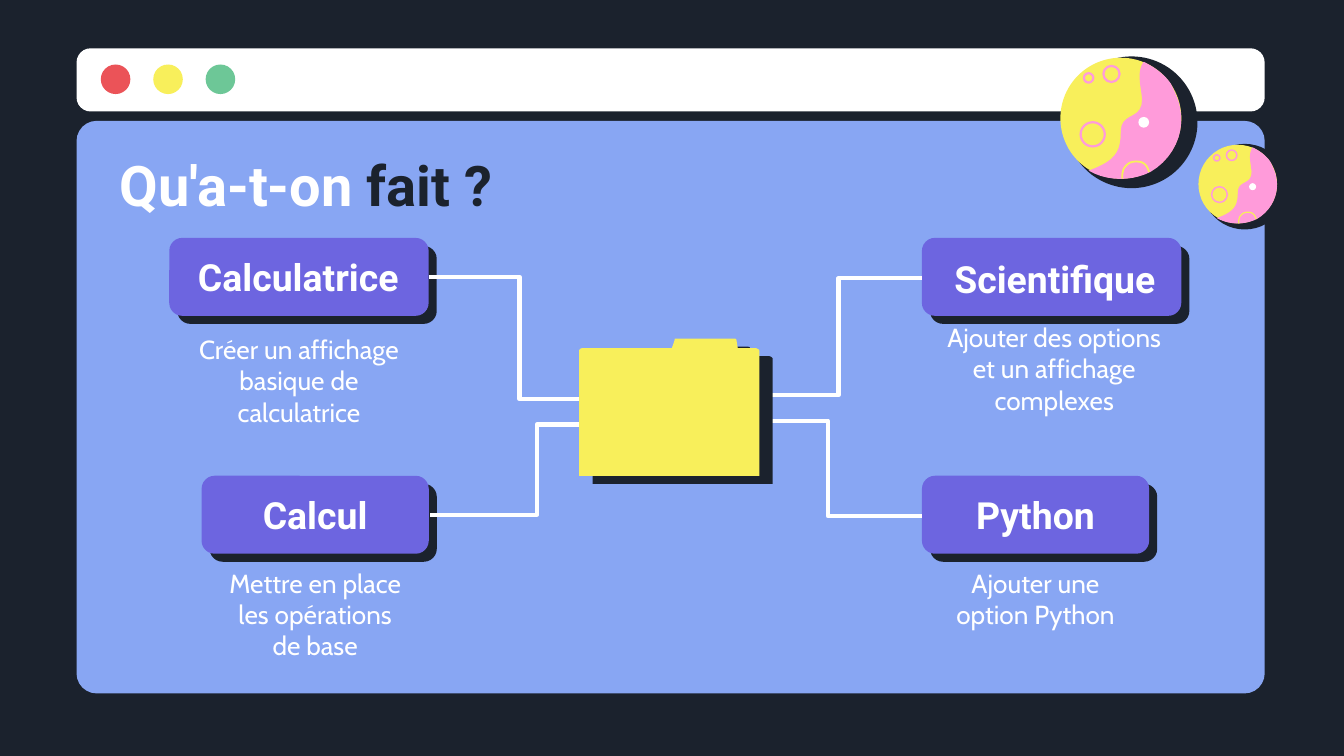
from pptx import Presentation
from pptx.dml.color import RGBColor
from pptx.enum.shapes import MSO_CONNECTOR, MSO_SHAPE
from pptx.enum.text import MSO_ANCHOR, MSO_AUTO_SIZE, PP_ALIGN
from pptx.oxml.ns import qn
from pptx.util import Inches, Pt
from lxml.etree import SubElement

DARK = RGBColor(0x1B, 0x22, 0x2D)
BLUE = RGBColor(0x88, 0xA6, 0xF3)
WHITE = RGBColor(0xFF, 0xFF, 0xFF)
RED = RGBColor(0xEB, 0x53, 0x58)
YELLOW = RGBColor(0xF8, 0xEF, 0x5B)
GREEN = RGBColor(0x6D, 0xC7, 0x97)
PINK = RGBColor(0xFF, 0x9B, 0xDA)
PURPLE = RGBColor(0x6D, 0x65, 0xE0)

CARDS = [
    ("Python", (6.86, 3.54, 1.69), (6.96, 3.54, 1.49),
     "Ajouter une option Python", (6.88, 4.12, 1.65)),
    ("Calcul", (1.5, 3.54, 1.69), (1.6, 3.54, 1.49),
     "Mettre en place les opérations de base", (1.6, 4.12, 1.49)),
    ("Calculatrice", (1.26, 1.77, 1.93), (1.23, 1.77, 1.98),
     "Créer un affichage basique de calculatrice", (1.27, 2.38, 1.91)),
    ("Scientifique", (6.86, 1.77, 1.93), (6.87, 1.78, 1.96),
     "Ajouter des options et un affichage complexes", (6.93, 2.29, 1.83)),
]
LINKS = [
    (3.19, 2.06, 4.54, 2.97),
    (3.2, 3.83, 4.79, 3.16),
    (6.86, 2.07, 5.62, 2.94),
    (6.86, 3.84, 5.46, 3.13),
]
FOLDER = [
    (5.65, 2.61), (5.65, 3.54), (4.31, 3.54), (4.31, 2.61),
    (4.31, 2.6, 4.32, 2.59, 4.34, 2.59), (5, 2.59), (5.02, 2.53),
    (5.02, 2.52, 5.02, 2.52, 5.03, 2.52), (5.46, 2.52),
    (5.47, 2.52, 5.48, 2.52, 5.48, 2.53), (5.49, 2.59), (5.62, 2.59),
    (5.63, 2.59, 5.65, 2.6, 5.65, 2.61),
]
HUB = (8.34, 0.88)
LAND = [
    (8.51, 0.46), (8.59, 0.5, 8.66, 0.55, 8.71, 0.62),
    (8.73, 0.66, 8.77, 0.74, 8.78, 0.8), (8.82, 0.99, 8.73, 1.18, 8.56, 1.28),
    (8.42, 1.35, 8.24, 1.35, 8.1, 1.27), (8.29, 1.2, 8.34, 1.14, 8.34, 0.98),
    (8.34, 0.81, 8.54, 0.92, 8.49, 0.67), (8.47, 0.56, 8.48, 0.5, 8.51, 0.46),
]
RIM = [
    (8.55, 1.28), (8.54, 1.24, 8.52, 1.22, 8.5, 1.21),
    (8.47, 1.2, 8.44, 1.2, 8.41, 1.21), (8.39, 1.22, 8.37, 1.24, 8.36, 1.26),
    (8.35, 1.29, 8.35, 1.31, 8.35, 1.33),
]
RINGS = [(8.27, 0.55, 0.07), (8.13, 1, 0.1), (8.1, 0.58, 0.045)]


def paint(shape, fill, line=None, width=1):
    shape.shadow.inherit = False
    if fill is None:
        shape.fill.background()
    else:
        shape.fill.solid()
        shape.fill.fore_color.rgb = fill
    if line is None:
        shape.line.fill.background()
    else:
        shape.line.color.rgb = line
        shape.line.width = Pt(width)


def add_box(slide, box, bend, fill):
    shape = slide.shapes.add_shape(MSO_SHAPE.ROUNDED_RECTANGLE, *map(Inches, box))
    shape.adjustments[0] = bend
    paint(shape, fill)


def add_disc(slide, x, y, r, fill, line=None, width=1):
    box = (x - r, y - r, 2 * r, 2 * r)
    shape = slide.shapes.add_shape(MSO_SHAPE.OVAL, *map(Inches, box))
    paint(shape, fill, line, width)


def trace(track, steps=10):
    points = [track[0]]
    for part in track[1:]:
        if len(part) == 2:
            points.append(part)
            continue
        ends = [points[-1], part[:2], part[2:4], part[4:]]
        for i in range(1, steps + 1):
            t = i / steps
            mix = ((1 - t) ** 3, 3 * t * (1 - t) ** 2, 3 * t * t * (1 - t), t ** 3)
            points.append(tuple(sum(m * e[k] for m, e in zip(mix, ends)) for k in (0, 1)))
    return points


def add_form(slide, points, fill, line=None, width=1):
    spots = [(Inches(x), Inches(y)) for x, y in points]
    form = slide.shapes.build_freeform(*spots[0])
    form.add_line_segments(spots[1:], close=fill is not None)
    paint(form.convert_to_shape(), fill, line, width)


def add_planet(slide, x, y, scale):
    def place(point):
        return x + (point[0] - HUB[0]) * scale, y + (point[1] - HUB[1]) * scale

    add_disc(slide, *place((8.42, 0.91)), 0.49 * scale, DARK)
    add_disc(slide, x, y, 0.45 * scale, YELLOW)
    for *spot, r in RINGS:
        add_disc(slide, *place(spot), (r - 0.01) * scale, None, PINK, 1.2 * scale)
    add_form(slide, [place(p) for p in trace(LAND)], PINK)
    add_form(slide, [place(p) for p in trace(RIM)], None, YELLOW, scale)
    add_disc(slide, *place((8.51, 0.91)), 0.04 * scale, WHITE)


def style(run, font, size, color, bold):
    run.font.name = font
    run.font.size = Pt(size)
    run.font.color.rgb = color
    run.font.bold = bold


def pad(frame, anchor):
    frame.word_wrap = True
    frame.auto_size = MSO_AUTO_SIZE.NONE
    frame.vertical_anchor = anchor
    frame.margin_top = frame.margin_bottom = Inches(0.1)


def add_text(slide, text, box, font, size, bold, anchor):
    frame = slide.shapes.add_textbox(*map(Inches, box)).text_frame
    pad(frame, anchor)
    frame.text = text
    line = frame.paragraphs[0]
    line.alignment = PP_ALIGN.CENTER
    style(line.runs[0], font, size, WHITE, bold)


def add_card(slide, name, spot, label, note, place):
    x, y, width = spot
    add_box(slide, (x + 0.06, y + 0.06, width, 0.58), 0.167, DARK)
    add_box(slide, (x, y, width, 0.58), 0.167, PURPLE)
    add_text(slide, name, (*label, 0.58), "Roboto", 20, True, MSO_ANCHOR.MIDDLE)
    add_text(slide, note, (*place, 0.83), "Cabin", 14, False, MSO_ANCHOR.TOP)


def add_link(slide, ends):
    link = slide.shapes.add_connector(MSO_CONNECTOR.ELBOW, *map(Inches, ends))
    link.line.color.rgb = WHITE
    link.line.width = Pt(2.25)
    SubElement(link.element.spPr, qn("a:effectLst"))


def set_title(slide):
    title = slide.shapes.title
    title.element.getparent().append(title.element)
    title.left, title.top, title.width, title.height = map(Inches, (0.79, 1.06, 8.43, 0.62))
    frame = title.text_frame
    pad(frame, MSO_ANCHOR.MIDDLE)
    frame.text = "Qu'a-t-on"
    line = frame.paragraphs[0]
    line.alignment = PP_ALIGN.LEFT
    line.add_run().text = " fait ?"
    for run, color in zip(line.runs, (WHITE, DARK)):
        style(run, "Roboto", 30, color, True)


def add_window(slide):
    add_box(slide, (0.57, 0.9, 8.84, 4.26), 0.035, BLUE)
    add_box(slide, (0.57, 0.36, 8.84, 0.47), 0.223, WHITE)
    for i, color in enumerate((RED, YELLOW, GREEN)):
        add_disc(slide, 0.86 + 0.39 * i, 0.59, 0.11, color)


def main():
    deck = Presentation()
    deck.slide_width = Inches(10)
    deck.slide_height = Inches(10) * 9 // 16
    slide = deck.slides.add_slide(deck.slide_layouts[5])
    slide.background.fill.solid()
    slide.background.fill.fore_color.rgb = DARK
    add_window(slide)
    add_planet(slide, *HUB, 1)
    add_planet(slide, 9.21, 1.37, 0.65)
    set_title(slide)
    for card in CARDS:
        add_card(slide, *card)
    for ends in LINKS:
        add_link(slide, ends)
    front = trace(FOLDER)
    add_form(slide, [(x + 0.1, y + 0.06) for x, y in front], DARK)
    add_form(slide, front, YELLOW)
    deck.save("out.pptx")


if __name__ == "__main__":
    main()
